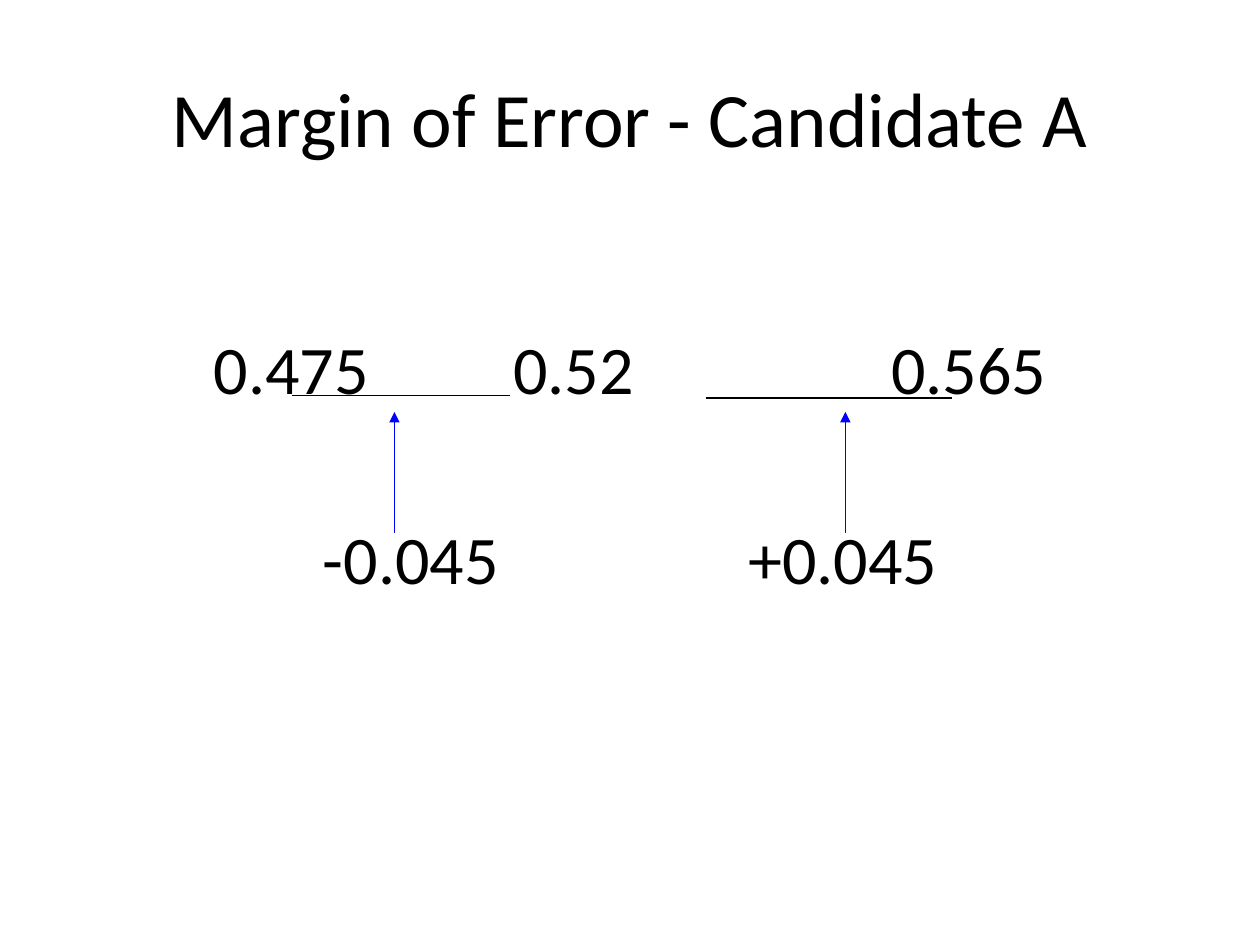
from lxml.etree import SubElement
from pptx import Presentation
from pptx.dml.color import RGBColor
from pptx.enum.shapes import MSO_CONNECTOR
from pptx.enum.text import MSO_ANCHOR, MSO_AUTO_SIZE, PP_ALIGN
from pptx.oxml.ns import qn
from pptx.util import Pt

COLORS = {"text": "000000", "rule": "000000", "arrow": "0000FF"}


class SlideBuilder:
    font = "Calibri"
    title_size = 44
    body_size = 38.9
    hanging = 27
    tab_step = 72

    def __init__(self, prs):
        self.s = prs.slides.add_slide(prs.slide_layouts[1])

    def place(self, sp, box, anchor):
        sp.left, sp.top, sp.width, sp.height = (Pt(v) for v in box)
        tf = sp.text_frame
        tf.word_wrap = True
        tf.auto_size = MSO_AUTO_SIZE.NONE
        tf.vertical_anchor = anchor
        return tf

    def add_text(self, p, text, size):
        p.alignment = PP_ALIGN.CENTER
        r = p.add_run()
        r.text = text
        r.font.name = self.font
        r.font.size = Pt(size)
        r.font.color.rgb = RGBColor.from_string(COLORS["text"])

    def title(self, text, box):
        tf = self.place(self.s.shapes.title, box, MSO_ANCHOR.MIDDLE)
        self.add_text(tf.paragraphs[0], text, self.title_size)

    def body(self, lines, box, gap):
        tf = self.place(self.s.placeholders[1], box, MSO_ANCHOR.TOP)
        for i, line in enumerate(lines):
            p = tf.add_paragraph() if i else tf.paragraphs[0]
            pPr = p._p.get_or_add_pPr()
            pPr.set("marL", str(Pt(self.hanging)))
            pPr.set("indent", str(-Pt(self.hanging)))
            pPr.set("defTabSz", str(Pt(self.tab_step)))
            SubElement(pPr, qn("a:buNone"))
            p.space_before = Pt(gap if i else 0)
            self.add_text(p, line, self.body_size)

    def line(self, x1, y1, x2, y2, color, width):
        c = self.s.shapes.add_connector(
            MSO_CONNECTOR.STRAIGHT, Pt(x1), Pt(y1), Pt(x2), Pt(y2))
        c.line.color.rgb = RGBColor.from_string(COLORS[color])
        c.line.width = Pt(width)
        SubElement(c._element.spPr, qn("a:effectLst"))
        return c

    def arrow(self, x, bottom, top):
        c = self.line(x, bottom, x, top, "arrow", 1)
        ln = c._element.spPr.find(qn("a:ln"))
        SubElement(ln, qn("a:tailEnd"), type="triangle")


def main():
    prs = Presentation()
    prs.slide_width, prs.slide_height = Pt(720), Pt(540)
    slide = SlideBuilder(prs)
    slide.title("Margin of Error - Candidate A", (36, 21.6, 648, 90))
    slide.body(["0.475\t\t0.52\t\t\t0.565", "-0.045\t\t+0.045"],
               (12.24, 182.88, 695.52, 210.24), gap=62)
    for left, right, y in ((167, 291.6, 226), (403.2, 544.3, 227.5)):
        slide.line(left, y, right, y, "rule", 0.75)
    for x in (225.4, 483.1):
        slide.arrow(x, bottom=304.6, top=235.4)
    prs.save("out.pptx")


if __name__ == "__main__":
    main()
